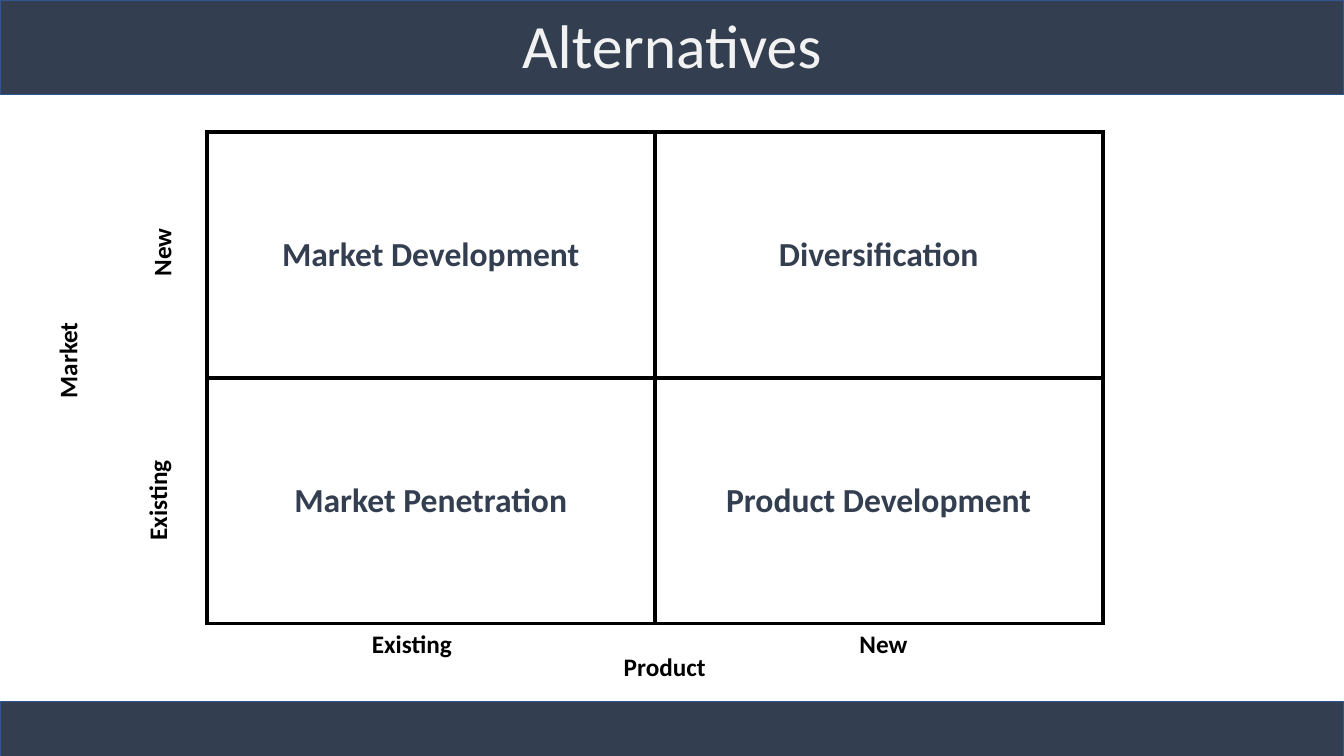
from dataclasses import dataclass

from lxml.etree import SubElement
from pptx import Presentation
from pptx.dml.color import RGBColor
from pptx.enum.shapes import MSO_SHAPE
from pptx.enum.text import MSO_ANCHOR, MSO_AUTO_SIZE, PP_ALIGN
from pptx.oxml.ns import qn
from pptx.util import Cm, Pt


@dataclass(frozen=True)
class Theme:
    """Colours, font and type sizes of the slide."""
    navy: RGBColor = RGBColor(0x33, 0x3F, 0x50)
    band_line: RGBColor = RGBColor(0x32, 0x54, 0x91)
    pale: RGBColor = RGBColor(0xF2, 0xF2, 0xF2)
    black: RGBColor = RGBColor(0, 0, 0)
    font: str = "Calibri"
    title: Pt = Pt(44)
    strategy: Pt = Pt(24)
    axis: Pt = Pt(18)
    border: Pt = Pt(3)


THEME = Theme()
SLIDE_WIDTH, SLIDE_HEIGHT = 33.87, 19.05
STRATEGIES = [["Market Development", "Diversification"],
              ["Market Penetration", "Product Development"]]
MARKET_LABELS = [("New", -1.65, 1.32), ("Existing", -1.76, 7.97), ("Market", -4.02, 4.39)]
PRODUCT_LABELS = [("Existing", 3.91, 12.39, 3.51), ("New", 16.2, 12.39, 2.29),
                  ("Product", 10.26, 12.95, 2.87)]


def write(frame, wording, size, color, bold=False, align=PP_ALIGN.LEFT):
    """Write one formatted paragraph into a text frame."""
    paragraph = frame.paragraphs[0]
    paragraph.text = wording
    paragraph.alignment = align
    font = paragraph.runs[0].font
    for name, value in {"name": THEME.font, "size": size, "bold": bold}.items():
        setattr(font, name, value)
    font.color.rgb = color
    return paragraph


def add_band(slide, left, top, width, height):
    """Add a navy band across the slide."""
    band = slide.shapes.add_shape(MSO_SHAPE.RECTANGLE, Cm(left), Cm(top), Cm(width), Cm(height))
    band.shadow.inherit = False
    band.fill.solid()
    band.fill.fore_color.rgb = THEME.navy
    band.line.color.rgb = THEME.band_line
    band.line.width = Pt(1)


def add_header(slide, left, top, width, height):
    """Add the top band with the slide title."""
    add_band(slide, left, top, width, height)
    title = slide.shapes.add_textbox(Cm(left), Cm(top + 0.05), Cm(width), Cm(height - 0.05))
    frame = title.text_frame
    for name, value in {"word_wrap": True, "vertical_anchor": MSO_ANCHOR.MIDDLE}.items():
        setattr(frame, name, value)
    heading = write(frame, "Alternatives", THEME.title, THEME.pale, align=PP_ALIGN.CENTER)
    heading.line_spacing = 0.9


def add_border(cell):
    """Draw the four edges of a table cell."""
    properties = cell._tc.get_or_add_tcPr()
    for edge in ("a:lnL", "a:lnR", "a:lnT", "a:lnB"):
        line = SubElement(properties, qn(edge), w=str(int(THEME.border)))
        fill = SubElement(line, qn("a:solidFill"))
        SubElement(fill, qn("a:srgbClr"), val=str(THEME.black))


def add_axis_label(slide, wording, left, top, width, height, upward=False):
    """Add one axis label, reading upward if asked."""
    label = slide.shapes.add_textbox(Cm(left), Cm(top), Cm(width), Cm(height))
    frame = label.text_frame
    for name, value in {"word_wrap": True, "auto_size": MSO_AUTO_SIZE.SHAPE_TO_FIT_TEXT}.items():
        setattr(frame, name, value)
    if upward:
        label._element.txBody.bodyPr.set("vert", "vert270")
    write(frame, wording, THEME.axis, THEME.black, bold=True)


def add_matrix(slide, left, top, width, height):
    """Add the strategy grid with its market and product axes."""
    grid = slide.shapes.add_table(2, 2, Cm(left), Cm(top), Cm(width), Cm(height)).table
    for name in ("first_row", "horz_banding"):
        setattr(grid, name, False)
    for row, strategies in enumerate(STRATEGIES):
        for column, strategy in enumerate(strategies):
            cell = grid.cell(row, column)
            add_border(cell)
            cell.fill.background()
            cell.vertical_anchor = MSO_ANCHOR.MIDDLE
            write(cell.text_frame, strategy, THEME.strategy, THEME.navy, True, PP_ALIGN.CENTER)
    for wording, across, down in MARKET_LABELS:
        add_axis_label(slide, wording, left + across, top + down, 1.27, 2.57, upward=True)
    for wording, across, down, label_width in PRODUCT_LABELS:
        add_axis_label(slide, wording, left + across, top + down, label_width, 1.02)


def main():
    """Build and save the slide."""
    deck = Presentation()
    for name, value in {"slide_width": SLIDE_WIDTH, "slide_height": SLIDE_HEIGHT}.items():
        setattr(deck, name, Cm(value))
    slide = deck.slides.add_slide(deck.slide_layouts[6])
    add_band(slide, 0, 17.68, SLIDE_WIDTH, 1.6)
    add_header(slide, 0, 0, SLIDE_WIDTH, 2.39)
    add_matrix(slide, 5.21, 3.33, 22.58, 12.38)
    deck.save("out.pptx")


if __name__ == "__main__":
    main()
